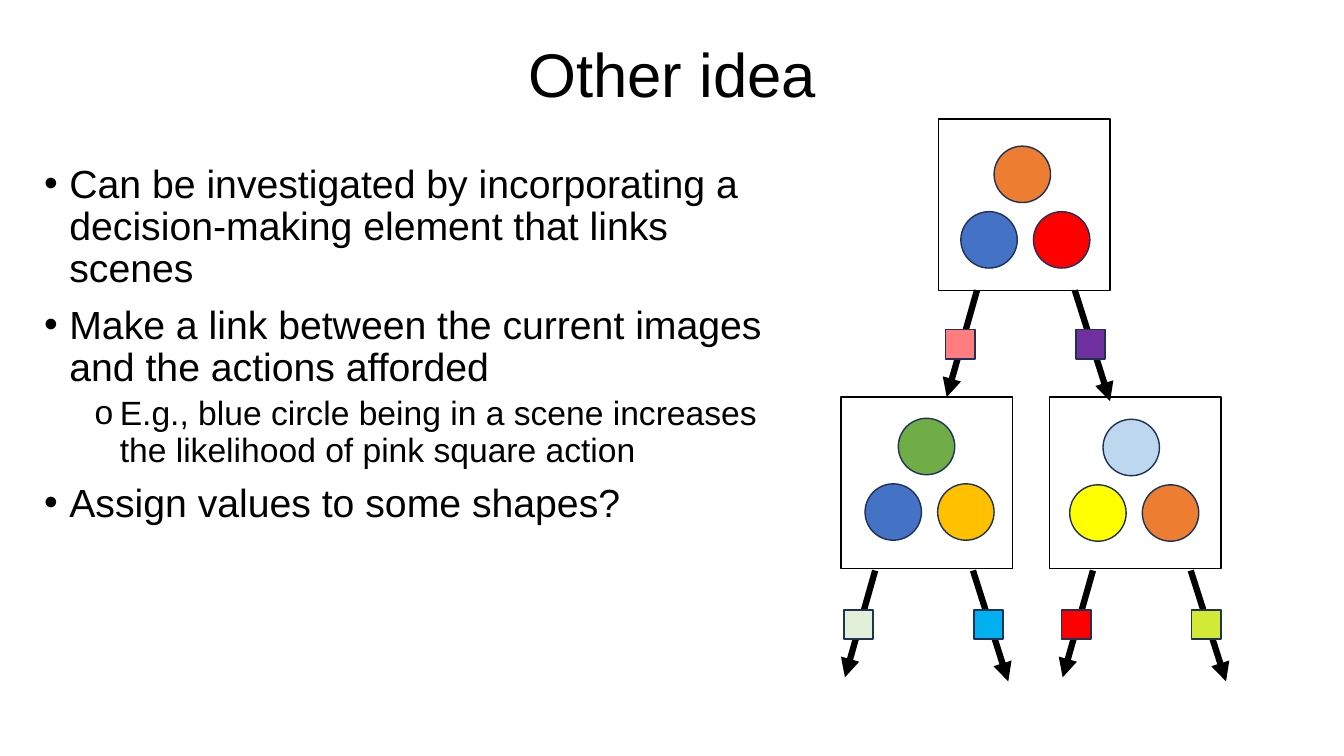
from lxml import etree
from pptx import Presentation
from pptx.dml.color import RGBColor
from pptx.enum import shapes, text
from pptx.oxml import ns
from pptx.util import Inches, Pt

TITLE = "Other idea"
BULLETS = [
    (0, "Can be investigated by incorporating a decision-making element that links scenes"),
    (0, "Make a link between the current images and the actions afforded"),
    (1, "E.g., blue circle being in a scene increases the likelihood of pink square action"),
    (0, "Assign values to some shapes?"),
]
LEVELS = [
    dict(char="•", size=28, left=0.25, before=10),
    dict(char="o", size=24, left=0.75, before=5),
]
SCENES = [
    dict(box=(10.41, 3.94), circles_at=(10.61, 4.81), arrows_at=(10.84, 5.66),
         circles=("FFFF00", "ED7D31", "BDD7EE"), actions=("FF0000", "D2E935")),
    dict(box=(8.34, 3.94), circles_at=(8.58, 4.8), arrows_at=(8.68, 5.66),
         circles=("4472C4", "FFC000", "70AD47"), actions=("E2F0D9", "00B0F0")),
    dict(box=(9.31, 1.18), circles_at=(9.53, 2.1), arrows_at=(9.69, 2.88),
         circles=("4472C4", "FF0000", "ED7D31"), actions=("FF7C80", "7030A0")),
]
BOX, CIRCLE, ACTION = 1.7, 0.56, 0.29
CIRCLE_OFFSETS = [(0, 0), (0.72, 0), (0.33, -0.65)]
ARROW_OFFSETS = [(0, -0.3, 1.06), (0.97, 1.32, 1.1)]
ACTION_OFFSETS = [(-0.31, 0.39), (0.98, 0.39)]
FONT, BLACK, WHITE, OUTLINE = "Arial", "000000", "FFFFFF", "1E3256"


def rgb(value):
    return RGBColor.from_string(value)


def add_run(p, words, size):
    r = p.add_run()
    r.text = words
    r.font.name = FONT
    r.font.size = Pt(size)
    r.font.color.rgb = rgb(BLACK)


def add_figure(s, kind, x, y, size, fill, line):
    sp = s.shapes.add_shape(kind, Inches(x), Inches(y), Inches(size), Inches(size))
    sp.shadow.inherit = False
    sp.fill.solid()
    sp.fill.fore_color.rgb = rgb(fill)
    sp.line.color.rgb = rgb(line)
    sp.line.width = Pt(1)


def add_arrow(s, x1, y1, x2, y2):
    c = s.shapes.add_connector(shapes.MSO_CONNECTOR.STRAIGHT,
                               Inches(x1), Inches(y1), Inches(x2), Inches(y2))
    c.line.color.rgb = rgb(BLACK)
    c.line.width = Pt(4.5)
    etree.SubElement(c.line._get_or_add_ln(), ns.qn("a:tailEnd"), type="triangle")
    etree.SubElement(c._element.spPr, ns.qn("a:effectLst"))


def add_title(s):
    sp = s.shapes.title
    sp.left, sp.top, sp.width, sp.height = [Inches(v) for v in (0.92, 0.04, 11.5, 1.45)]
    tf = sp.text_frame
    tf.vertical_anchor = text.MSO_ANCHOR.MIDDLE
    p = tf.paragraphs[0]
    p.alignment = text.PP_ALIGN.CENTER
    p.line_spacing = 0.9
    add_run(p, TITLE, 44)


def add_bullets(s):
    sp = s.shapes.add_textbox(Inches(0.34), Inches(1.58), Inches(7.63), Inches(5.45))
    tf = sp.text_frame
    tf.word_wrap = True
    for i, (level, words) in enumerate(BULLETS):
        style = LEVELS[level]
        p = tf.add_paragraph() if i else tf.paragraphs[0]
        p.level = level
        pPr = p._p.get_or_add_pPr()
        pPr.set("marL", str(Inches(style["left"])))
        pPr.set("indent", str(Inches(-0.25)))
        etree.SubElement(pPr, ns.qn("a:buFont"), typeface=FONT)
        etree.SubElement(pPr, ns.qn("a:buChar"), char=style["char"])
        p.line_spacing = 0.9
        p.space_before = Pt(style["before"] if i else 0)
        add_run(p, words, style["size"])


def add_scene(s, scene):
    add_figure(s, shapes.MSO_SHAPE.RECTANGLE, *scene["box"], BOX, WHITE, BLACK)
    x, y = scene["circles_at"]
    for (dx, dy), fill in zip(CIRCLE_OFFSETS, scene["circles"]):
        add_figure(s, shapes.MSO_SHAPE.OVAL, x + dx, y + dy, CIRCLE, fill, OUTLINE)


def add_actions(s, scene):
    x, y = scene["arrows_at"]
    for start, end, drop in ARROW_OFFSETS:
        add_arrow(s, x + start, y, x + end, y + drop)
    for (dx, dy), fill in zip(ACTION_OFFSETS, scene["actions"]):
        add_figure(s, shapes.MSO_SHAPE.RECTANGLE, x + dx, y + dy, ACTION, fill, OUTLINE)


def main():
    prs = Presentation()
    prs.slide_width, prs.slide_height = Inches(13.33), Inches(7.5)
    s = prs.slides.add_slide(prs.slide_layouts[5])
    add_title(s)
    add_bullets(s)
    for scene in SCENES:
        add_scene(s, scene)
    for scene in SCENES:
        add_actions(s, scene)
    prs.save("out.pptx")


if __name__ == "__main__":
    main()
